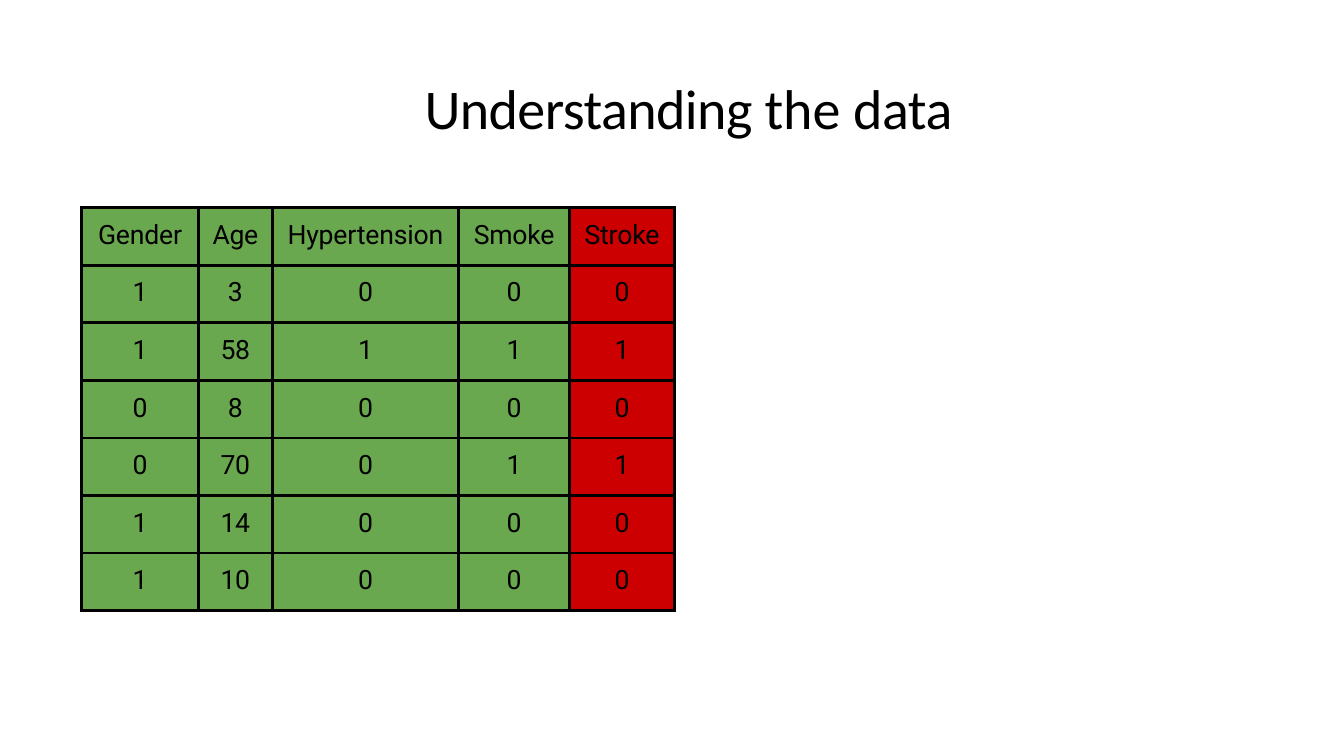
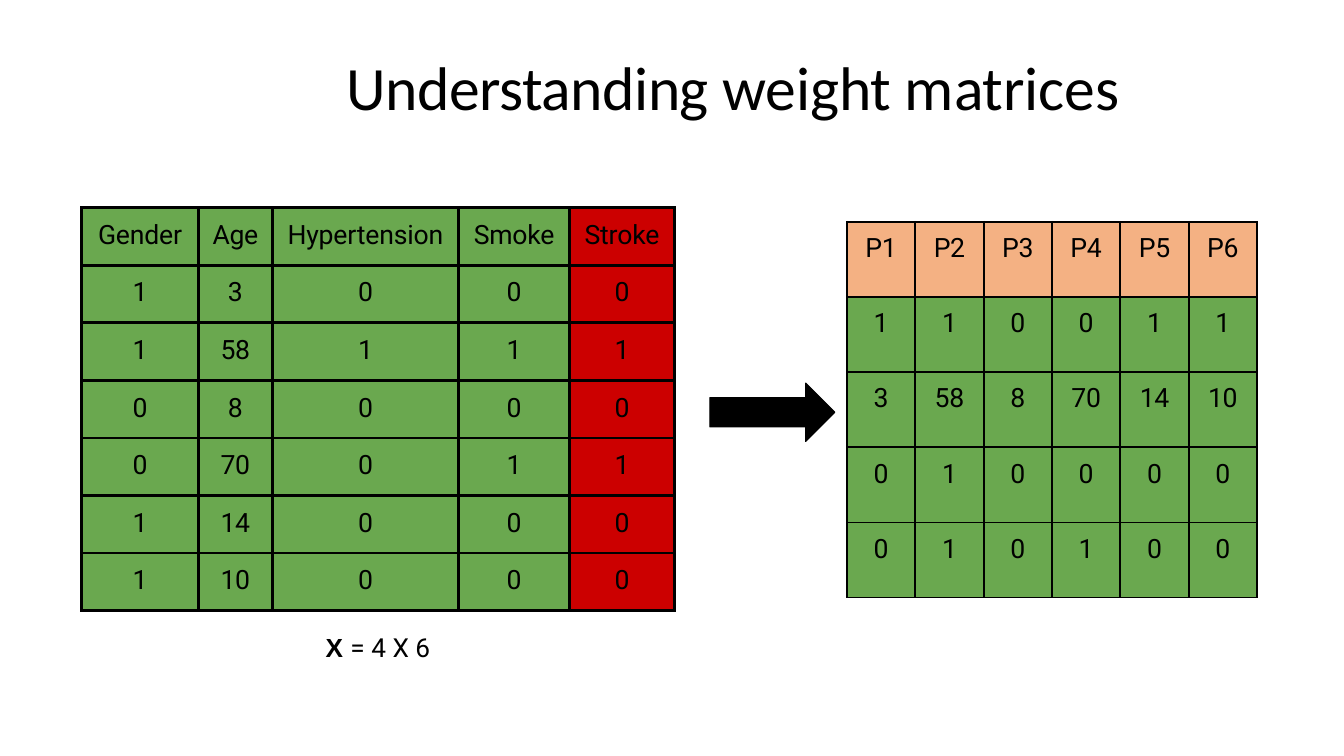
from pptx import Presentation
from pptx.dml.color import RGBColor
from pptx.enum import shapes, text
from pptx.oxml import parse_xml
from pptx.oxml.ns import nsdecls
from pptx.util import Inches, Pt

BLACK = RGBColor(0x00, 0x00, 0x00)
GREEN = RGBColor(0x6A, 0xA8, 0x4F)
RED = RGBColor(0xCC, 0x00, 0x00)
PEACH = RGBColor(0xF4, 0xB1, 0x83)

HEADINGS = ["Gender", "Age", "Hypertension", "Smoke", "Stroke"]
PATIENTS = [
    [1, 3, 0, 0, 0],
    [1, 58, 1, 1, 1],
    [0, 8, 0, 0, 0],
    [0, 70, 0, 1, 1],
    [1, 14, 0, 0, 0],
    [1, 10, 0, 0, 0],
]
DATA_BOX = (0.81, 2.06, 5.88, 4)
DATA_WIDTHS = [1.16, 0.73, 1.85, 1.1, 1.04]


def add_run(p, words, spacing=0, **font):
    """Add a black run; spacing is the letter spacing in points."""
    r = p.add_run()
    r.text = words
    r.font.color.rgb = BLACK
    for name, value in font.items():
        setattr(r.font, name, value)
    r.font._element.set("spc", str(round(spacing * 100)))


def format_frame(tf, **values):
    """Clear the margins of a text frame, then set the given values."""
    margins = dict.fromkeys(("margin_left", "margin_top", "margin_right", "margin_bottom"), 0)
    for name, value in {**margins, "word_wrap": True, **values}.items():
        setattr(tf, name, value)


def place(sp, box):
    for name, value in zip(("left", "top", "width", "height"), box):
        setattr(sp, name, Inches(value))


def add_title_slide(prs, box, indent, size, runs):
    """Add a slide whose title is indented within its box."""
    s = prs.slides.add_slide(prs.slide_layouts[5])
    title = s.shapes.title
    place(title, box)
    format_frame(title.text_frame, margin_top=Inches(0.24),
                 vertical_anchor=text.MSO_ANCHOR.MIDDLE,
                 auto_size=text.MSO_AUTO_SIZE.SHAPE_TO_FIT_TEXT)
    p = title.text_frame.paragraphs[0]
    p.alignment = text.PP_ALIGN.LEFT
    p._p.get_or_add_pPr().set("marL", str(Inches(indent)))
    for words, spacing in runs:
        add_run(p, words, spacing, name="Calibri", size=Pt(size))
    return s


def set_borders(cell, width):
    """Draw black lines on all sides of a cell; call before filling it."""
    for side in ("lnL", "lnR", "lnT", "lnB"):
        cell._tc.get_or_add_tcPr().append(parse_xml(
            f'<a:{side} {nsdecls("a")} w="{Pt(width)}"><a:solidFill>'
            f'<a:srgbClr val="{BLACK}"/></a:solidFill></a:{side}>'))


def add_grid(s, box, widths, rows, fill_of, border, top_margin):
    """Add a table with equal rows; fill_of(row, column) gives the colour."""
    table = s.shapes.add_table(len(rows), len(widths), *map(Inches, box)).table
    table.first_row = table.horz_banding = False
    for column, width in zip(table.columns, widths):
        column.width = Inches(width)
    for i, row in enumerate(rows):
        table.rows[i].height = Inches(box[3] / len(rows))
        for j, value in enumerate(row):
            cell, words = table.cell(i, j), str(value)
            set_borders(cell, border)
            cell.fill.solid()
            cell.fill.fore_color.rgb = fill_of(i, j)
            cell.margin_left = cell.margin_right = cell.margin_bottom = 0
            cell.margin_top = Inches(top_margin)
            p = cell.text_frame.paragraphs[0]
            p.alignment = text.PP_ALIGN.CENTER
            spacing = {1: -0.5, 2: -0.2, 3: -0.2}.get(len(words), -0.1)
            add_run(p, words, spacing, name="Roboto", size=Pt(19), bold=False)


def add_patient_table(s):
    """One row per patient, with the target column in red."""
    target = HEADINGS.index("Stroke")
    add_grid(s, DATA_BOX, DATA_WIDTHS, [HEADINGS] + PATIENTS,
             lambda i, j: RED if j == target else GREEN, 2.25, 0.12)


def add_matrix_table(s, box):
    """The feature columns transposed: one column per patient."""
    count = len(PATIENTS)
    names = [f"P{n}" for n in range(1, count + 1)]
    features = list(zip(*PATIENTS))[:-1]
    add_grid(s, box, [box[2] / count] * count, [names] + features,
             lambda i, j: GREEN if i else PEACH, 1.5, 0.11)


def add_arrow(s, box):
    sp = s.shapes.add_shape(shapes.MSO_SHAPE.RIGHT_ARROW, *map(Inches, box))
    sp.shadow.inherit = False
    sp.fill.solid()
    sp.fill.fore_color.rgb = sp.line.color.rgb = BLACK
    sp.line.width = Pt(0.75)


def add_size_label(s, box):
    tf = s.shapes.add_textbox(*map(Inches, box)).text_frame
    format_frame(tf, margin_left=Inches(0.02), margin_top=Inches(0.02))
    p = tf.paragraphs[0]
    add_run(p, "X ", name="Arial", size=Pt(18.7), bold=True)
    add_run(p, "= 4 X 6", name="Roboto", size=Pt(18.7))


def main():
    prs = Presentation()
    prs.slide_width, prs.slide_height = Inches(13.33), Inches(7.5)

    # Data slide
    s = add_title_slide(prs, (0.47, 0.48, 8.99, 0.92), 3.74, 40,
                        [("Understanding ", -0.4), ("the ", 0), ("data", -0.3)])
    add_patient_table(s)

    # Weight matrices slide
    s = add_title_slide(prs, (0.6, 0.24, 11.59, 0.98), 2.84, 44,
                        [("Understanding ", -0.4), ("weight matrices", -0.1)])
    add_patient_table(s)
    add_size_label(s, (3.21, 6.24, 1.11, 0.33))
    add_arrow(s, (7.04, 3.8, 1.24, 0.58))
    add_matrix_table(s, (8.4, 2.2, 4.07, 3.73))

    prs.save("out.pptx")


if __name__ == "__main__":
    main()
